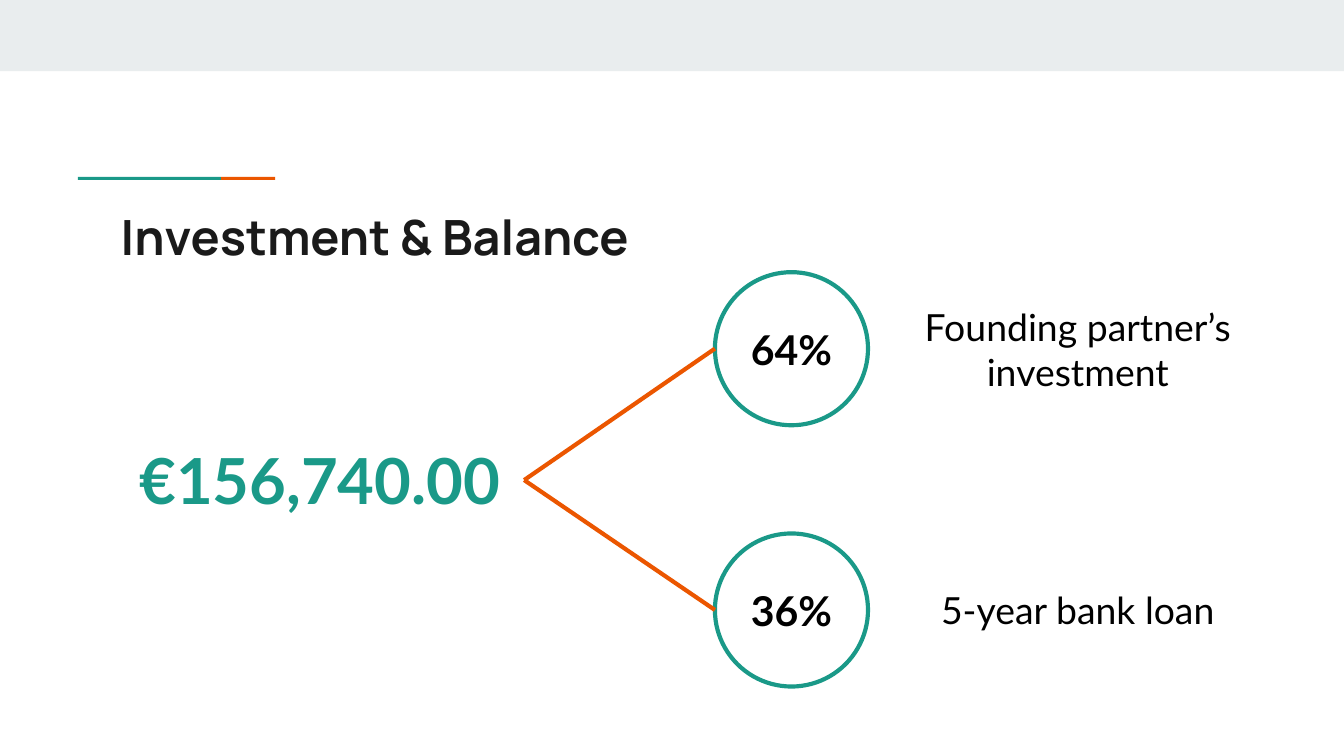
"""Build the investment and balance slide."""
from lxml import etree
from pptx import Presentation
from pptx import util as u
from pptx.dml.color import RGBColor
from pptx.enum import shapes, text

Pt = u.Pt
HUES = {"band": "E9EDEE", "teal": "1A9988", "orange": "EB5600",
        "title": "1A1A1A", "black": "000000"}
NS = "{http://schemas.openxmlformats.org/drawingml/2006/main}"


def hue(name):
    return RGBColor.from_string(HUES[name])


def write(box, words, size, tint, font="Lato", bold=True, mid=False):
    frame = box.text_frame
    frame.word_wrap = True
    frame.margin_left = frame.margin_right = Pt(7.2)
    frame.margin_top = frame.margin_bottom = Pt(7.2)
    frame.vertical_anchor = text.MSO_ANCHOR.MIDDLE if mid else text.MSO_ANCHOR.TOP
    para = frame.paragraphs[0]
    para.text = words
    para.alignment = text.PP_ALIGN.CENTER if mid else text.PP_ALIGN.LEFT
    para.font.name, para.font.size, para.font.bold = font, Pt(size), bold
    para.font.color.rgb = hue(tint)


deck = Presentation()
deck.slide_width, deck.slide_height = Pt(720), Pt(405)
slide = deck.slides.add_slide(deck.slide_layouts[6])
items = slide.shapes

bars = [(0, 0, 720, 38.2, "band"),
        (41.8, 94.8, 76.6, 1.6, "teal"),
        (118.4, 94.8, 29, 1.6, "orange")]
for left, top, wide, high, tint in bars:
    bar = items.add_shape(shapes.MSO_SHAPE.RECTANGLE, Pt(left), Pt(top), Pt(wide), Pt(high))
    bar.shadow.inherit = False
    bar.fill.solid()
    bar.fill.fore_color.rgb = hue(tint)
    bar.line.fill.background()

title = items.add_textbox(Pt(57.6), Pt(103.7), Pt(605.5), Pt(42.5))
write(title, "Investment & Balance", 26, "title", font="Manrope")
total = items.add_textbox(Pt(67.7), Pt(229), Pt(213.1), Pt(57.6))
write(total, "€156,740.00", 34, "teal")

size = 82
shares = [("64%", "Founding partner’s investment", 145.8),
          ("36%", "5-year bank loan", 285.8)]
for share, label, top in shares:
    ring = items.add_shape(shapes.MSO_SHAPE.OVAL, Pt(383), Pt(top), Pt(size), Pt(size))
    ring.shadow.inherit = False
    ring.fill.background()
    ring.line.color.rgb = hue("teal")
    ring.line.width = Pt(2.25)
    write(ring, share, 22, "black", mid=True)

    link = items.add_connector(shapes.MSO_CONNECTOR.STRAIGHT, Pt(280.8), Pt(257.2),
                               Pt(383), Pt(top + size / 2))
    link.line.color.rgb = hue("orange")
    link.line.width = Pt(2.25)
    etree.SubElement(link._element.spPr, NS + "effectLst")

    note = items.add_textbox(Pt(470.9), Pt(top), Pt(213.1), Pt(size))
    write(note, label, 20, "black", bold=False, mid=True)

deck.save("out.pptx")
